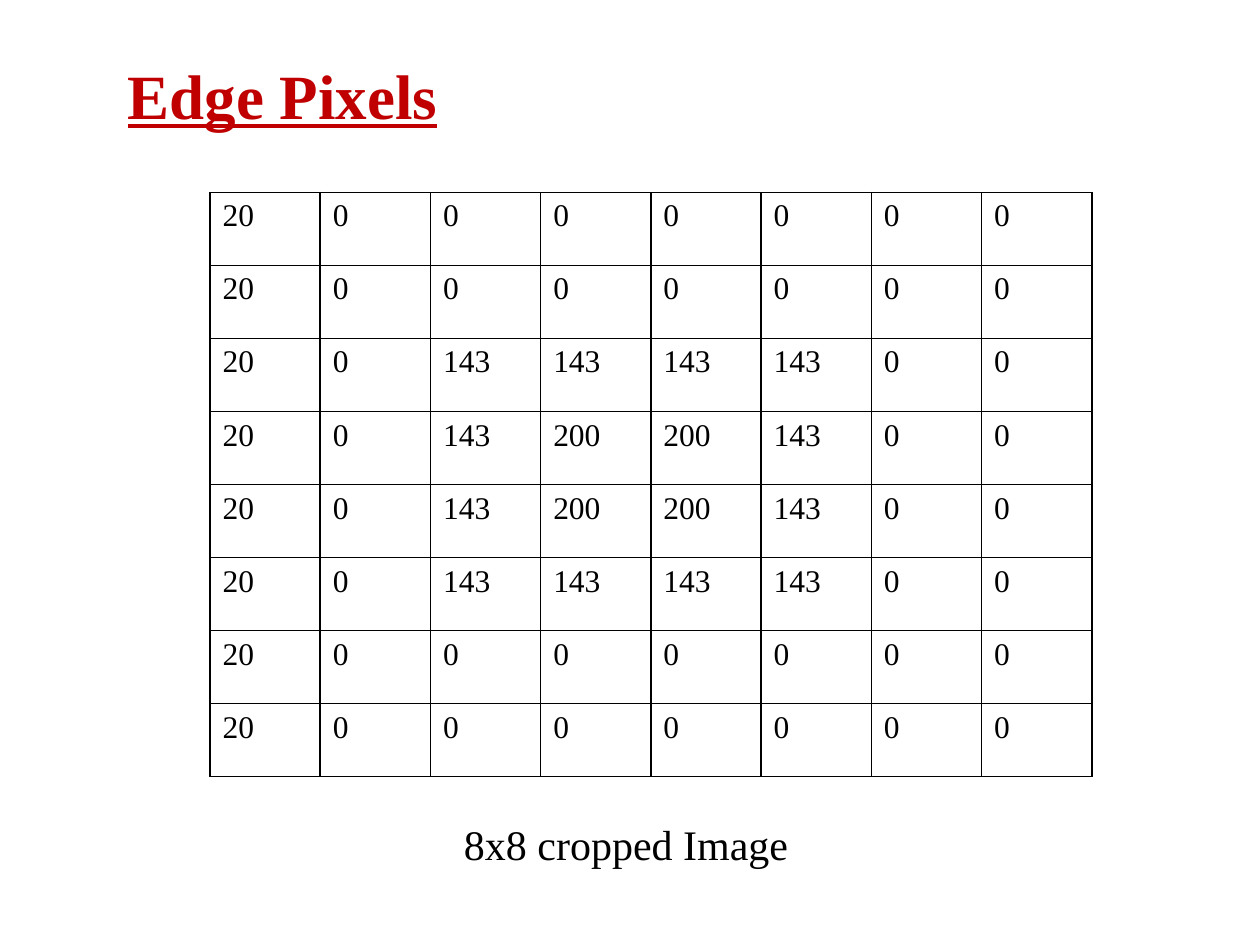
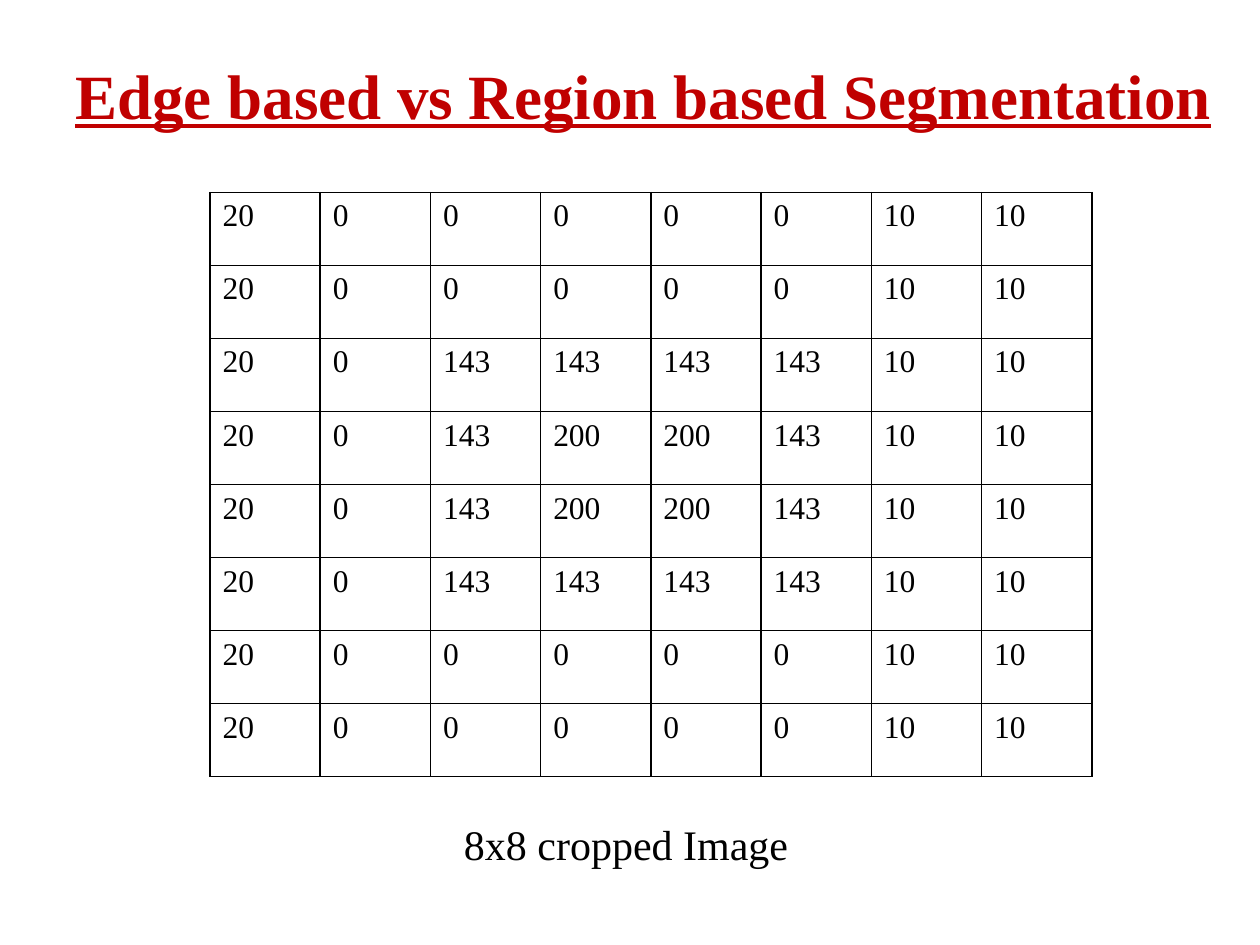
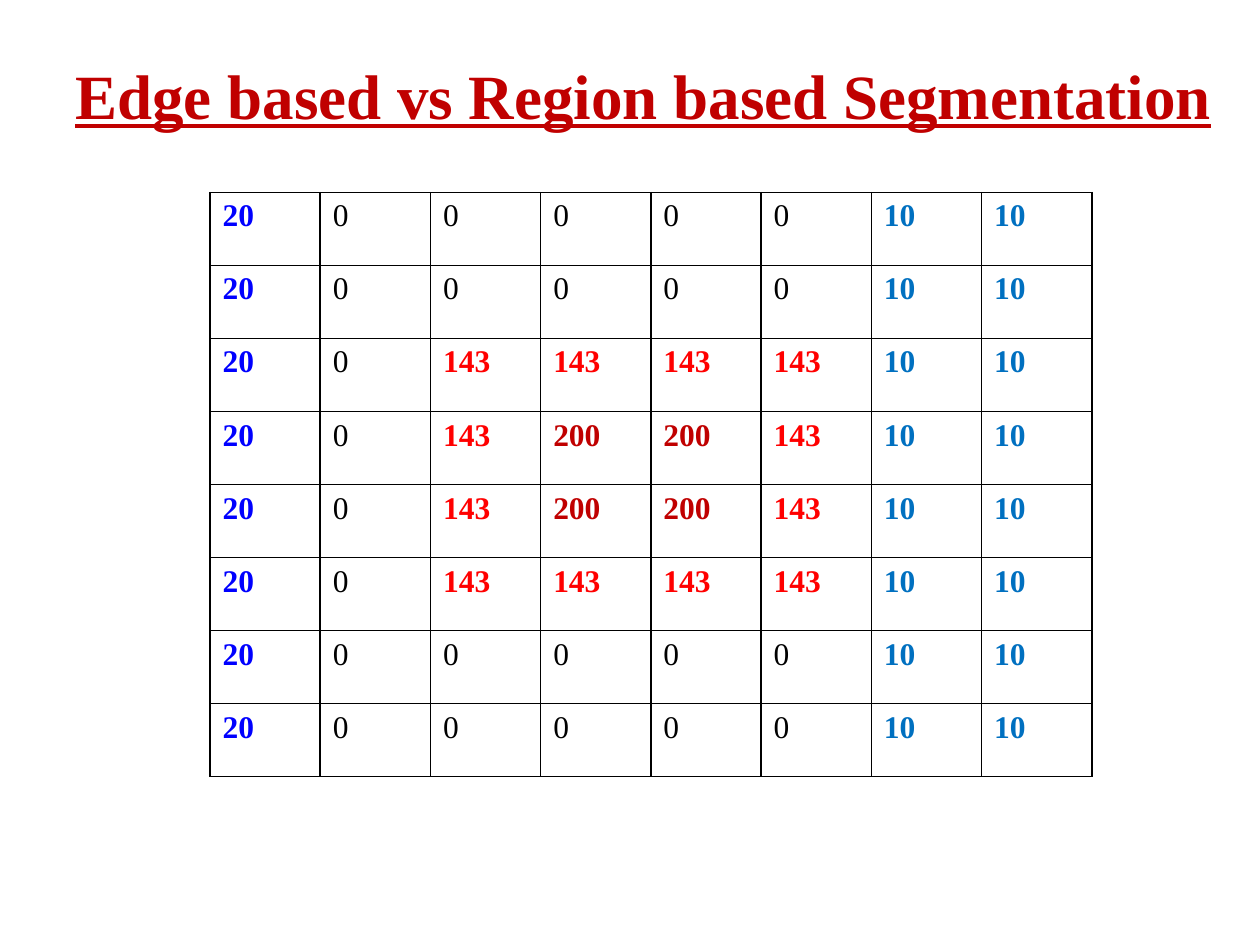
from dataclasses import dataclass

from lxml import etree
from pptx import Presentation
from pptx import util as u
from pptx.dml import color
from pptx.enum import text
from pptx.oxml import ns

Pt = u.Pt

COMPARISON = "Edge based vs Region based Segmentation"
CAPTION = "8x8 cropped Image"

OBJECT = [
    (0, 0, 0, 0),
    (0, 0, 0, 0),
    (143, 143, 143, 143),
    (143, 200, 200, 143),
    (143, 200, 200, 143),
    (143, 143, 143, 143),
    (0, 0, 0, 0),
    (0, 0, 0, 0),
]

SLIDES = [
    {"title": "Edge Pixels", "left": 66, "width": 648,
     "right_value": 0, "caption": CAPTION, "regions": False},
    {"title": COMPARISON, "left": 36, "width": 678,
     "right_value": 10, "caption": CAPTION, "regions": False},
    {"title": COMPARISON, "left": 36, "width": 678,
     "right_value": 10, "caption": None, "regions": True},
]

REGION_COLORS = {20: "0000FF", 10: "0070C0", 143: "FF0000", 200: "C00000"}


@dataclass(frozen=True)
class Theme:
    font: str = "Times New Roman"
    ink: str = "000000"
    title: str = "C00000"
    title_size: int = 36
    caption_size: int = 24
    cell_size: int = 18
    border: float = 1


THEME = Theme()
SLIDE_SIZE = (720, 540)
TITLE_TOP, TITLE_HEIGHT, TITLE_INSET = 24, 90, 8
CAPTION_BOX, CAPTION_INSET = (258, 462, 201, 36.5), 5.6
GRID_LEFT, GRID_TOP = 120, 110
CELL_WIDTH, CELL_HEIGHT = 63, 41.75


def style(p, size, rgb, bold=False, underline=False):
    for r in p.runs:
        f = r.font
        f.name, f.size = THEME.font, Pt(size)
        f.bold, f.underline = bold, underline
        f.color.rgb = color.RGBColor.from_string(rgb)


def add_text(s, words, box, inset, wrap, *look):
    tf = s.shapes.add_textbox(*map(Pt, box)).text_frame
    tf.word_wrap = wrap
    tf.vertical_anchor = text.MSO_ANCHOR.TOP
    tf.margin_top = Pt(inset)
    tf.text = words
    style(tf.paragraphs[0], *look)


def add_borders(cell):
    tc_pr = cell._tc.get_or_add_tcPr()
    for side in ("a:lnL", "a:lnR", "a:lnT", "a:lnB"):
        ln = etree.SubElement(tc_pr, ns.qn(side), w=str(Pt(THEME.border)))
        fill = etree.SubElement(ln, ns.qn("a:solidFill"))
        etree.SubElement(fill, ns.qn("a:srgbClr"), val=THEME.ink)


def add_grid(s, rows, regions):
    n_rows, n_cols = len(rows), len(rows[0])
    table = s.shapes.add_table(
        n_rows, n_cols, Pt(GRID_LEFT), Pt(GRID_TOP),
        Pt(n_cols * CELL_WIDTH), Pt(n_rows * CELL_HEIGHT)).table
    table.first_row = table.horz_banding = False
    for col in table.columns:
        col.width = Pt(CELL_WIDTH)
    for row, values in zip(table.rows, rows):
        row.height = Pt(CELL_HEIGHT)
        for cell, value in zip(row.cells, values):
            cell.text_frame.text = str(value)
            marked = regions and value in REGION_COLORS
            rgb = REGION_COLORS[value] if marked else THEME.ink
            style(cell.text_frame.paragraphs[0], THEME.cell_size, rgb, marked)
            add_borders(cell)
            cell.fill.background()


def main():
    prs = Presentation()
    prs.slide_width, prs.slide_height = map(Pt, SLIDE_SIZE)
    for item in SLIDES:
        s = prs.slides.add_slide(prs.slide_layouts[6])
        rows = [(20, 0, *middle, item["right_value"], item["right_value"])
                for middle in OBJECT]
        add_grid(s, rows, item["regions"])
        box = (item["left"], TITLE_TOP, item["width"], TITLE_HEIGHT)
        add_text(s, item["title"], box, TITLE_INSET, True,
                 THEME.title_size, THEME.title, True, True)
        if item["caption"]:
            add_text(s, item["caption"], CAPTION_BOX, CAPTION_INSET, False,
                     THEME.caption_size, THEME.ink)
    prs.save("out.pptx")


if __name__ == "__main__":
    main()
